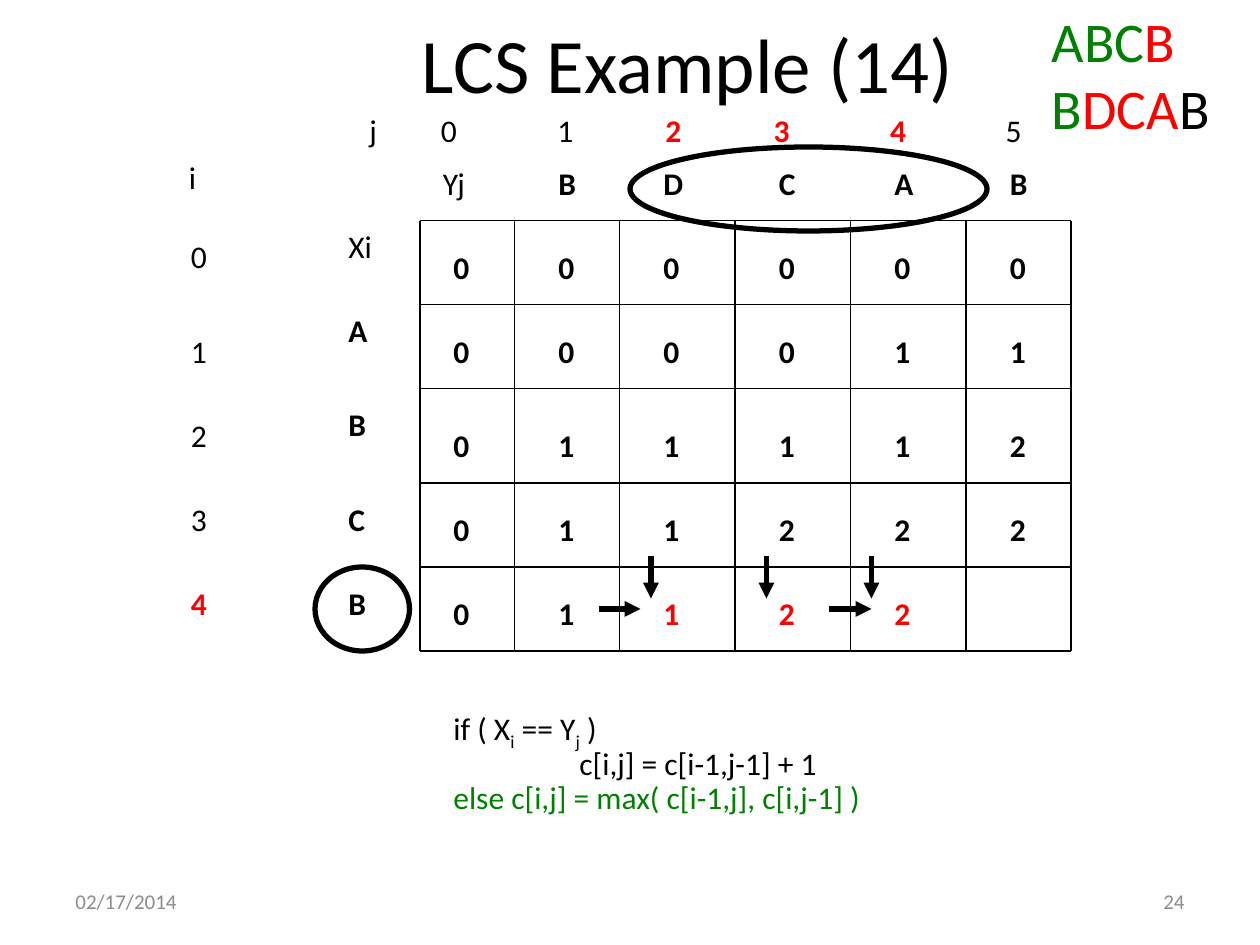
from lxml.etree import SubElement as Sub
from pptx import Presentation
from pptx.dml.color import RGBColor as RGB
from pptx.enum.shapes import MSO_CONNECTOR as Line, MSO_SHAPE as Shape
from pptx.enum.text import MSO_ANCHOR as Anchor, PP_ALIGN as Align
from pptx.oxml.ns import qn
from pptx.util import Cm, Pt

HUES = {"ink": "000000", "red": "FF0000", "green": "008000", "gray": "8C8C8C"}

# Content: each run is (text, hue) or (text, hue, "sub")
TITLE = "LCS Example (14)"
WORDS = [
    [("ABC", "green"), ("B", "red")],
    [("B", "green"), ("DCA", "red"), ("B", "ink")],
]
HEADS = ["Yj", "B", "D", "C", "A", "B"]
SIDES = ["Xi", "A", "B", "C", "B"]
GRID = ["000000", "000011", "011112", "011222", "01122"]
HOT_COLS = {2, 3, 4}
HOT_ROW = 4
CODE = [
    (24, [("if ( X", "ink"), ("i", "ink", "sub"), (" == Y", "ink"),
          ("j", "ink", "sub"), (" )", "ink")]),
    (36, [("c[i,j] = c[i-1,j-1] + 1", "ink")]),
    (24, [("else c[i,j] = max( c[i-1,j], c[i,j-1] )", "green")]),
]

# Layout, in twelfths of an inch
COLS = [40, 49, 59, 70, 81, 92, 102]
ROWS = [21, 29, 37, 46, 54, 62]
CELL_X = [42, 52, 62, 73, 84, 95]
CELL_Y = [23, 31, 40, 48, 56]
SIDE_Y = [21, 29, 38, 47, 55]
INDEX_Y = [22, 31, 39, 47, 55]
STOPS = [6.8, 17.9, 28.2, 38.5, 49.6, 60.6]
RINGS = [(30, 54, 9, 8), (60, 14, 34, 8)]
DOWN_X = [62, 73, 83]
RIGHT_X = [57, 79]


def unit(n):
    return Cm(n * 2.54 / 12)


def paint(font, hue, bold=False, size=18):
    font.name, font.size, font.bold = "Calibri", Pt(size), bold
    font.color.rgb = RGB.from_string(HUES[hue])


def frame(x, y, w, h):
    box = slide.shapes.add_textbox(unit(x), unit(y), unit(w), unit(h))
    box.text_frame.word_wrap = True
    return box.text_frame


def label(text, x, y, hue="ink", bold=False, w=6.4, h=6):
    para = frame(x, y, w, h).paragraphs[0]
    para.text = text
    paint(para.font, hue, bold)


def fill(para, runs, size=18):
    for text, hue, *sub in runs:
        run = para.add_run()
        run.text = text
        paint(run.font, hue, size=size)
        if sub:
            run.font._element.set("baseline", "-25000")


def rule(x1, y1, x2, y2, width=0.75, arrow=False):
    line = slide.shapes.add_connector(
        Line.STRAIGHT, unit(x1), unit(y1), unit(x2), unit(y2))
    line.line.width = Pt(width)
    line.line.color.rgb = RGB.from_string(HUES["ink"])
    if arrow:
        Sub(line.line._get_or_add_ln(), qn("a:tailEnd"), type="triangle")
    Sub(line._element.spPr, qn("a:effectLst"))


deck = Presentation()
deck.slide_width, deck.slide_height = unit(120), unit(90)
slide = deck.slides.add_slide(deck.slide_layouts[5])

# Title
head = slide.shapes.title
head.left, head.top, head.width, head.height = map(unit, (11, 0, 109, 12))
head.text_frame.text = TITLE
head.text_frame.vertical_anchor = Anchor.MIDDLE
para = head.text_frame.paragraphs[0]
para.alignment = Align.CENTER
paint(para.font, "ink", size=44)

# Date and page number
for text, x, side in [("02/17/2014", 6, Align.LEFT), ("24", 86, Align.RIGHT)]:
    foot = frame(x, 83.4, 28, 4.8)
    foot.vertical_anchor = Anchor.MIDDLE
    para = foot.paragraphs[0]
    para.text, para.alignment = text, side
    paint(para.font, "gray", size=12)

# Grid rules
for x in COLS:
    rule(x, ROWS[0], x, ROWS[-1])
for y in ROWS:
    rule(COLS[0], y, COLS[-1], y)

# Column index, set on tab stops
para = frame(34, 10, 66.5, 4.8).paragraphs[0]
tabs = Sub(para._p.get_or_add_pPr(), qn("a:tabLst"))
for stop in STOPS:
    Sub(tabs, qn("a:tab"), pos=str(unit(stop)), algn="l")
for col, text in enumerate(["j"] + [f"\t{n}" for n in range(len(HEADS))], -1):
    run = para.add_run()
    run.text = text
    hot = col in HOT_COLS
    paint(run.font, "red" if hot else "ink", hot)

# Row index and headings
label("i", 16.8, 14.5)
for row, y in enumerate(INDEX_Y):
    hot = row == HOT_ROW
    label(str(row), 17, y, "red" if hot else "ink", hot, w=4.4)
for row, (text, y) in enumerate(zip(SIDES, SIDE_Y)):
    label(text, 32, y, bold=row > 0)
for col, (text, x) in enumerate(zip(HEADS, CELL_X)):
    label(text, x - 1 if col == 0 else x, 15, bold=col > 0)

# Cell values
for row, (vals, y) in enumerate(zip(GRID, CELL_Y)):
    for col, (val, x) in enumerate(zip(vals, CELL_X)):
        hot = row == HOT_ROW and col in HOT_COLS
        label(val, x, y, "red" if hot else "ink", True, w=4.4)

# Recurrence
body = frame(18, 67, 81, 14.2)
for num, (left, runs) in enumerate(CODE):
    para = body.add_paragraph() if num else body.paragraphs[0]
    para._p.get_or_add_pPr().set("marL", str(unit(left)))
    para.line_spacing = 0.9
    fill(para, runs)

# Rings round the letters in play
for spot in RINGS:
    ring = slide.shapes.add_shape(Shape.OVAL, *map(unit, spot))
    ring.shadow.inherit = False
    ring.fill.background()
    ring.line.width = Pt(3)
    ring.line.color.rgb = RGB.from_string(HUES["ink"])

# Arrows to the new values
for x in DOWN_X:
    rule(x, 53, x, 57, 3, True)
for x in RIGHT_X:
    rule(x, 58, x + 4, 58, 3, True)

# The two strings
body = frame(99, 0, 21, 14)
for num, runs in enumerate(WORDS):
    para = body.add_paragraph() if num else body.paragraphs[0]
    fill(para, runs, 32)

deck.save("out.pptx")
